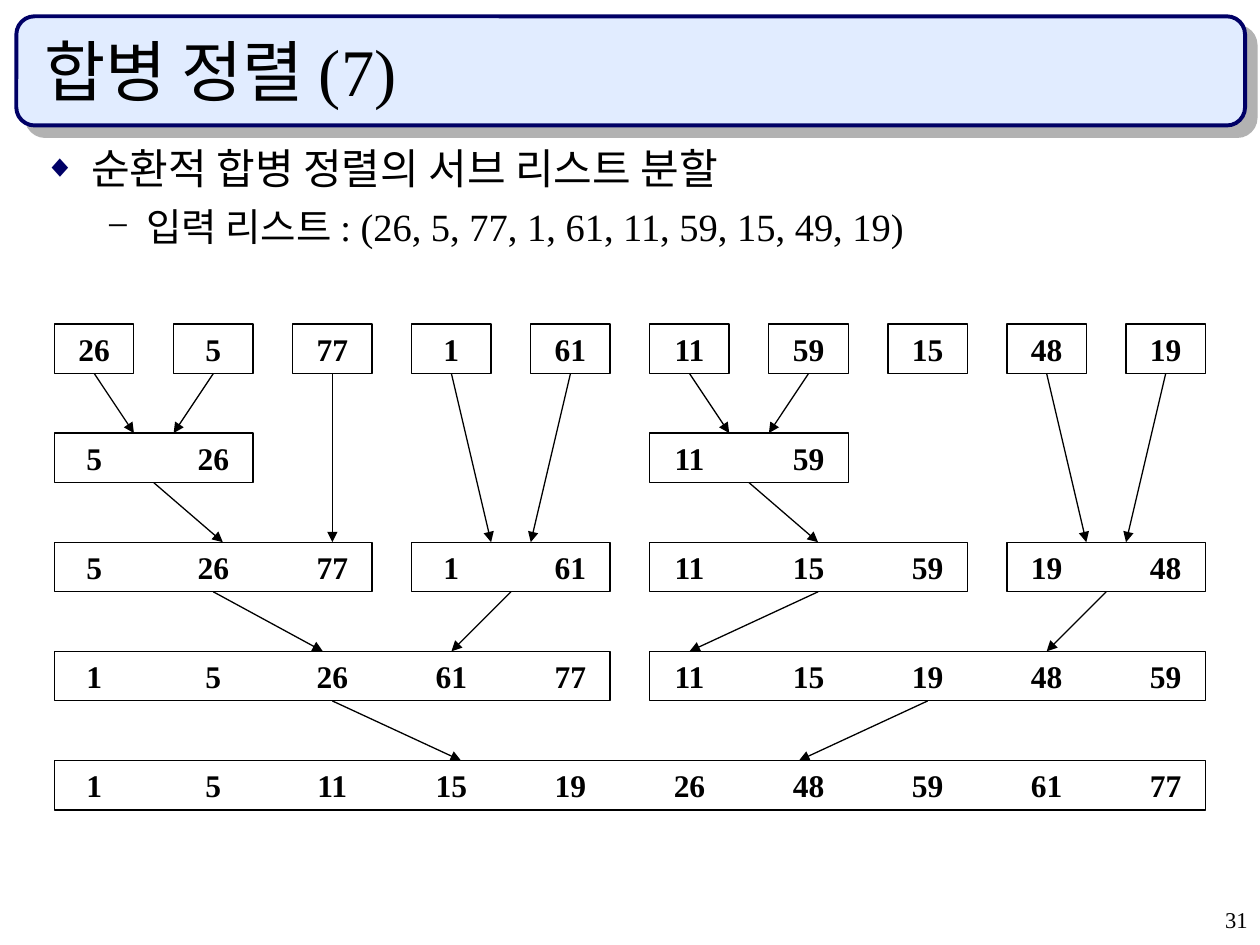
from dataclasses import dataclass

import pptx
import pptx.dml.color
import pptx.enum.shapes
import pptx.enum.text
import pptx.oxml
import pptx.oxml.ns
import pptx.util
from pptx.util import Cm, Pt

FONT = "Times New Roman"
BLACK, NAVY, PALE_BLUE, GREY = "000000", "000066", "E1ECFF", "B2B2B2"

# Grid of the merge diagram, in centimetres
GRID_LEFT, GRID_TOP = 1.1, 6.53
COLUMN_PITCH, ROW_PITCH = 2.4, 2.2
CELL_WIDTH, CELL_HEIGHT = 1.6, 1.0
THIRD = 1 / 3


@dataclass
class SubList:
    row: int
    column: int
    numbers: list[int]


@dataclass
class MergeArrow:
    """Columns count from the centre of the first cell."""
    from_row: int
    from_column: float
    to_row: int
    to_column: float


@dataclass
class Bullet:
    text: str
    size: float
    margin: float
    hanging: float
    mark: str
    colour: str
    mark_percent: int
    space_before: float


INPUT = [26, 5, 77, 1, 61, 11, 59, 15, 48, 19]
SUB_LISTS = [SubList(0, column, [number]) for column, number in enumerate(INPUT)] + [
    SubList(1, 0, [5, 26]),
    SubList(1, 5, [11, 59]),
    SubList(2, 0, [5, 26, 77]),
    SubList(2, 3, [1, 61]),
    SubList(2, 5, [11, 15, 59]),
    SubList(2, 8, [19, 48]),
    SubList(3, 0, [1, 5, 26, 61, 77]),
    SubList(3, 5, [11, 15, 19, 48, 59]),
    SubList(4, 0, sorted([1, 5, 11, 15, 19, 26, 48, 59, 61, 77])),
]

# Two single cells lean towards each other when they merge
PAIRS = [(0, 1), (3, 2), (5, 1), (8, 2)]
ARROWS = [
    arrow
    for column, row in PAIRS
    for arrow in (
        MergeArrow(0, column, row, column + THIRD),
        MergeArrow(0, column + 1, row, column + 1 - THIRD),
    )
] + [
    MergeArrow(0, 2, 2, 2),
    MergeArrow(1, 0.5, 2, 1.08),
    MergeArrow(1, 5.5, 2, 6.08),
    MergeArrow(2, 1, 3, 1.92),
    MergeArrow(2, 3.5, 3, 3),
    MergeArrow(2, 6.08, 3, 5),
    MergeArrow(2, 8.5, 3, 8),
    MergeArrow(3, 2, 4, 3.08),
    MergeArrow(3, 7, 4, 5.92),
]

BULLETS = [
    Bullet("순환적 합병 정렬의 서브 리스트 분할", 24, 0.95, 0.95, "◆", NAVY, 75, 0),
    Bullet("입력 리스트 : (26, 5, 77, 1, 61, 11, 59, 15, 49, 19)",
           22, 2.06, 0.79, "−", BLACK, 100, 5.5),
]


def rgb(colour: str) -> pptx.dml.color.RGBColor:
    return pptx.dml.color.RGBColor.from_string(colour)


def add_xml(parent, xml: str) -> None:
    """Append a DrawingML element given without its namespace."""
    declaration = pptx.oxml.ns.nsdecls("a")
    head, rest = xml.split(" ", 1)
    parent.append(pptx.oxml.parse_xml(f"{head} {declaration} {rest}"))


def set_font(paragraph, size: float, bold: bool = False) -> None:
    paragraph.font.name = FONT
    paragraph.font.size = Pt(size)
    paragraph.font.bold = bold
    paragraph.font.color.rgb = rgb(BLACK)


def add_text_box(page, left: float, top: float, width: float, height: float):
    box = page.shapes.add_textbox(Cm(left), Cm(top), Cm(width), Cm(height))
    box.text_frame.word_wrap = True
    return box.text_frame


def add_banner(page) -> None:
    banner = page.shapes.add_shape(
        pptx.enum.shapes.MSO_SHAPE.ROUNDED_RECTANGLE,
        Cm(0.33), Cm(0.33), Cm(24.77), Cm(2.2))
    banner.fill.solid()
    banner.fill.fore_color.rgb = rgb(PALE_BLUE)
    banner.line.color.rgb = rgb(NAVY)
    banner.line.width = Pt(2.25)
    banner.shadow.inherit = False
    effects = banner.element.spPr.find(pptx.oxml.ns.qn("a:effectLst"))
    add_xml(effects, f'<a:outerShdw blurRad="0" dist="{Pt(8.5)}" dir="2700000" '
                     f'algn="ctr" rotWithShape="0"><a:srgbClr val="{GREY}"/></a:outerShdw>')


def add_bullet(paragraph, bullet: Bullet) -> None:
    paragraph.text = bullet.text
    properties = paragraph._p.get_or_add_pPr()
    properties.set("marL", str(Cm(bullet.margin)))
    properties.set("indent", str(-Cm(bullet.hanging)))
    if bullet.space_before:
        paragraph.space_before = Pt(bullet.space_before)
    add_xml(properties, f'<a:buClr ><a:srgbClr val="{bullet.colour}"/></a:buClr>')
    add_xml(properties, f'<a:buSzPct val="{bullet.mark_percent * 1000}"/>')
    add_xml(properties, f'<a:buFont typeface="{FONT}"/>')
    add_xml(properties, f'<a:buChar char="{bullet.mark}"/>')
    set_font(paragraph, bullet.size)


def add_sub_list(page, sub_list: SubList) -> None:
    count = len(sub_list.numbers)
    box = page.shapes.add_shape(
        pptx.enum.shapes.MSO_SHAPE.RECTANGLE,
        Cm(GRID_LEFT + COLUMN_PITCH * sub_list.column),
        Cm(GRID_TOP + ROW_PITCH * sub_list.row),
        Cm(COLUMN_PITCH * (count - 1) + CELL_WIDTH), Cm(CELL_HEIGHT))
    box.shadow.inherit = False
    box.fill.background()
    box.line.color.rgb = rgb(BLACK)
    box.line.width = Pt(0.75)
    frame = box.text_frame
    frame.word_wrap = True
    frame.margin_left = frame.margin_right = 0
    frame.vertical_anchor = pptx.enum.text.MSO_ANCHOR.MIDDLE
    paragraph = frame.paragraphs[0]
    if count == 1:
        paragraph.text = str(sub_list.numbers[0])
        paragraph.alignment = pptx.enum.text.PP_ALIGN.CENTER
    else:
        # One centred tab stop for every number
        paragraph.text = "".join(f"\t{number}" for number in sub_list.numbers)
        paragraph.alignment = pptx.enum.text.PP_ALIGN.LEFT
        stops = "".join(
            f'<a:tab pos="{Cm(CELL_WIDTH / 2 + COLUMN_PITCH * index)}" algn="ctr"/>'
            for index in range(count))
        add_xml(paragraph._p.get_or_add_pPr(), f"<a:tabLst >{stops}</a:tabLst>")
    set_font(paragraph, 18, bold=True)


def add_arrow(page, arrow: MergeArrow) -> None:
    first_centre = GRID_LEFT + CELL_WIDTH / 2
    line = page.shapes.add_connector(
        pptx.enum.shapes.MSO_CONNECTOR.STRAIGHT,
        Cm(first_centre + COLUMN_PITCH * arrow.from_column),
        Cm(GRID_TOP + ROW_PITCH * arrow.from_row + CELL_HEIGHT),
        Cm(first_centre + COLUMN_PITCH * arrow.to_column),
        Cm(GRID_TOP + ROW_PITCH * arrow.to_row))
    line.line.color.rgb = rgb(BLACK)
    line.line.width = Pt(0.75)
    properties = line.element.spPr
    add_xml(properties.find(pptx.oxml.ns.qn("a:ln")), '<a:tailEnd type="triangle"/>')
    add_xml(properties, "<a:effectLst />")


def main() -> None:
    deck = pptx.Presentation()
    deck.slide_width, deck.slide_height = Cm(25.4), Cm(19.05)
    page = deck.slides.add_slide(deck.slide_layouts[6])

    # Title
    add_banner(page)
    title = add_text_box(page, 0.64, 0.64, 23.92, 1.69)
    title.vertical_anchor = pptx.enum.text.MSO_ANCHOR.BOTTOM
    title.paragraphs[0].text = "합병 정렬 (7)"
    set_font(title.paragraphs[0], 38)

    # Bullets
    body = add_text_box(page, 0.64, 2.75, 24.08, 2.77)
    for index, bullet in enumerate(BULLETS):
        add_bullet(body.add_paragraph() if index else body.paragraphs[0], bullet)

    # Merge diagram
    for sub_list in SUB_LISTS:
        add_sub_list(page, sub_list)
    for arrow in ARROWS:
        add_arrow(page, arrow)

    # Page number
    number = add_text_box(page, 20.12, 18.2, 5.28, 0.85).paragraphs[0]
    number.text = "31"
    number.alignment = pptx.enum.text.PP_ALIGN.RIGHT
    number.line_spacing = 0.9
    set_font(number, 12.9)

    deck.save("out.pptx")


if __name__ == "__main__":
    main()
